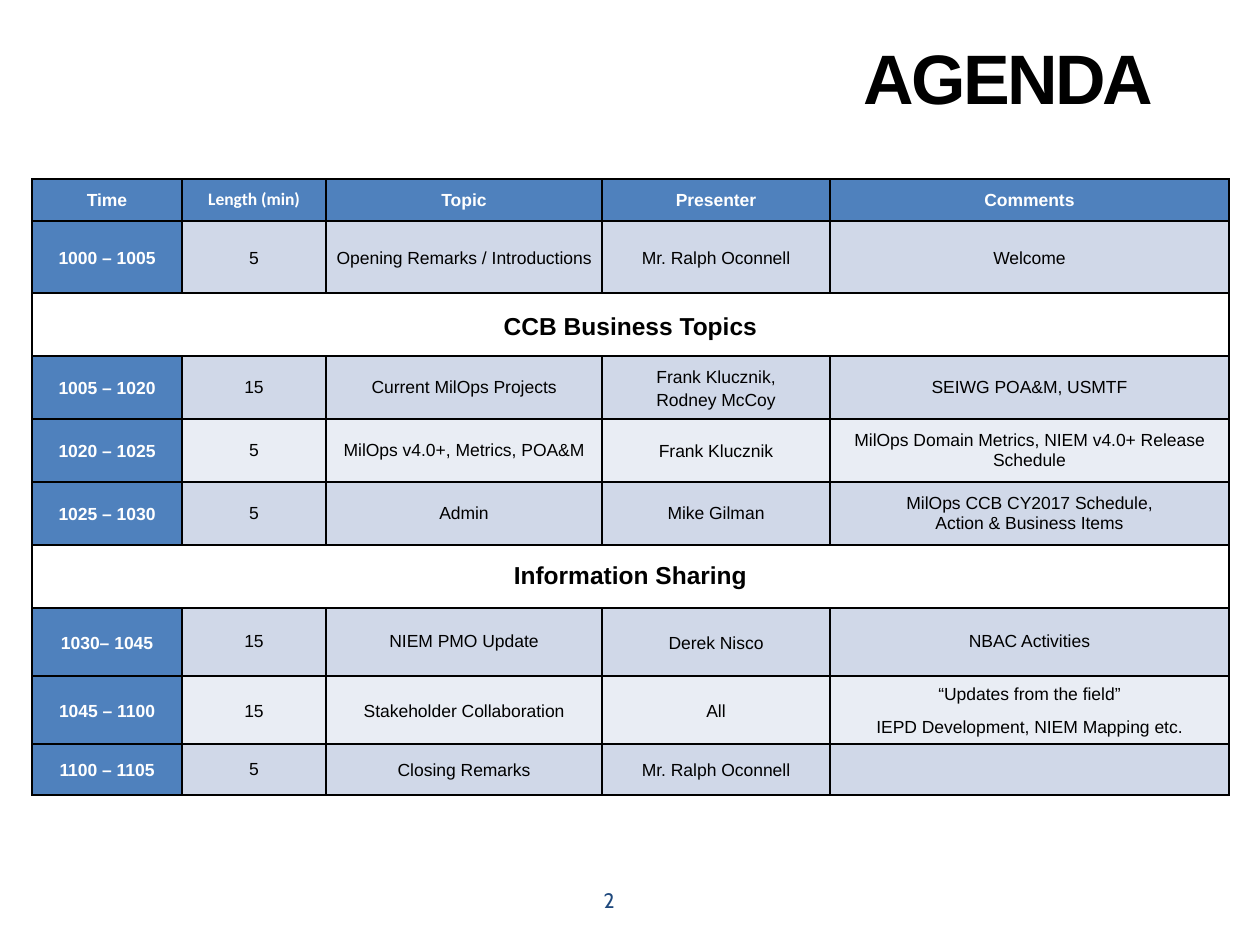
from collections import namedtuple
from dataclasses import dataclass

from pptx import Presentation
from pptx.dml.color import RGBColor
from pptx.enum.text import MSO_ANCHOR as Anchor, PP_ALIGN as Align
from pptx.oxml import parse_xml
from pptx.oxml.ns import nsdecls
from pptx.util import Emu, Pt

PX = 7257.6  # EMU per px, 126 px to the inch
Box = namedtuple("Box", "left top width height")


@dataclass(frozen=True)
class Theme:
    font: str = "Arial"
    length_font: str = "Calibri"
    number_font: str = "Cabin"
    black: str = "000000"
    white: str = "FFFFFF"
    blue: str = "4F81BD"
    dark_band: str = "D0D8E8"
    light_band: str = "E9EDF4"
    navy: str = "1F497D"
    title_size: int = 40
    section_size: int = 14
    number_size: int = 12
    cell_size: int = 10


THEME = Theme()

# Line spacing, space before and space after of each paragraph style
SPACING = {"H": (1, 6, 0), "L": (1.15, 3, 3), "T": (1, 3, 3), "P": (1, 0, 0)}

COLUMN_WIDTHS = (150, 144, 276, 228, 399)

# Row height, paragraph style of each cell, cell texts; one text makes a section row
AGENDA = (
    (42, "HHHHH", ("Time", "Length (min)", "Topic", "Presenter", "Comments")),
    (72, "LLLLL", ("1000 – 1005", "5", "Opening Remarks / Introductions",
                   "Mr. Ralph Oconnell", "Welcome")),
    (63, "L", ("CCB Business Topics",)),
    (63, "LTTLT", ("1005 – 1020", "15", "Current MilOps Projects",
                   "Frank Klucznik,\vRodney McCoy", "SEIWG POA&M, USMTF")),
    (63, "LTTLT", ("1020 – 1025", "5", "MilOps v4.0+, Metrics, POA&M", "Frank Klucznik",
                   "MilOps Domain Metrics, NIEM v4.0+ Release Schedule")),
    (63, "LTPPP", ("1025 – 1030", "5", "Admin", "Mike Gilman",
                   "MilOps CCB CY2017 Schedule,\nAction & Business Items")),
    (63, "P", ("Information Sharing",)),
    (68, "LTTLT", ("1030– 1045", "15", "NIEM PMO Update", "Derek Nisco",
                   "NBAC Activities")),
    (68, "LLLLL", ("1045 – 1100", "15", "Stakeholder Collaboration", "All",
                   "“Updates from the field”\nIEPD Development, NIEM Mapping etc.")),
    (51, "LPLLP", ("1100 – 1105", "5", "Closing Remarks", "Mr. Ralph Oconnell", "")),
)


def px(length):
    return Emu(round(length * PX))


def place(shape, box):
    shape.left, shape.top, shape.width, shape.height = map(px, box)


def style_paragraph(paragraph, size, color, bold=False, font=THEME.font, align=Align.CENTER):
    paragraph.alignment = align
    paragraph.font.name = font
    paragraph.font.size = Pt(size)
    paragraph.font.bold = bold
    paragraph.font.color.rgb = RGBColor.from_string(color)


def add_title(slide, box, text):
    title = slide.shapes.title
    place(title, box)
    frame = title.text_frame
    frame.text = text
    frame.vertical_anchor = Anchor.MIDDLE
    paragraph = frame.paragraphs[0]
    style_paragraph(paragraph, THEME.title_size, THEME.black, True, align=Align.RIGHT)
    paragraph.line_spacing = 0.8
    # Tightened letter spacing
    paragraph.runs[0]._r.get_or_add_rPr().set("spc", "-150")


def add_page_number(slide, box, number):
    text_box = slide.shapes.add_textbox(*map(px, box))
    frame = text_box.text_frame
    frame.word_wrap = True
    frame.text = str(number)
    style_paragraph(frame.paragraphs[0], THEME.number_size, THEME.navy,
                    font=THEME.number_font)


def set_borders(cell):
    properties = cell._tc.get_or_add_tcPr()
    for position, side in enumerate(("lnL", "lnR", "lnT", "lnB")):
        properties.insert(position, parse_xml(
            f'<a:{side} {nsdecls("a")} w="{Pt(1)}"><a:solidFill>'
            f'<a:srgbClr val="{THEME.black}"/></a:solidFill></a:{side}>'))


def fill_cell(cell, text, spacing, size, color, bold, font=THEME.font):
    cell.vertical_anchor = Anchor.MIDDLE
    cell.margin_left = cell.margin_right = px(9)
    cell.margin_top = cell.margin_bottom = 0
    cell.text = text
    for paragraph in cell.text_frame.paragraphs:
        style_paragraph(paragraph, size, color, bold, font)
        line, before, after = SPACING[spacing]
        paragraph.line_spacing = line
        paragraph.space_before, paragraph.space_after = Pt(before), Pt(after)


def add_agenda(slide, box):
    table = slide.shapes.add_table(len(AGENDA), len(COLUMN_WIDTHS), *map(px, box)).table
    table.first_row = table.horz_banding = False
    for column, width in zip(table.columns, COLUMN_WIDTHS):
        column.width = px(width)

    for row_index, (height, spacings, texts) in enumerate(AGENDA):
        table.rows[row_index].height = px(height)
        cells = [table.cell(row_index, index) for index in range(len(COLUMN_WIDTHS))]
        for cell in cells:
            set_borders(cell)

        # Section row across the whole table
        if len(texts) == 1:
            cells[0].merge(cells[-1])
            for cell in cells:
                cell.fill.background()
            fill_cell(cells[0], texts[0], spacings, THEME.section_size, THEME.black, True)
            continue

        # Header row, or a time slot with a heading in its first column
        band = THEME.light_band if row_index in (4, 8) else THEME.dark_band
        for index, (cell, text, spacing) in enumerate(zip(cells, texts, spacings)):
            heading = row_index == 0 or index == 0
            cell.fill.solid()
            cell.fill.fore_color.rgb = RGBColor.from_string(THEME.blue if heading else band)
            font = THEME.length_font if (row_index, index) == (0, 1) else THEME.font
            fill_cell(cell, text, spacing, THEME.cell_size,
                      THEME.white if heading else THEME.black, heading, font)


def main():
    presentation = Presentation()
    presentation.slide_width, presentation.slide_height = px(1260), px(945)
    slide = presentation.slides.add_slide(presentation.slide_layouts[5])
    add_title(slide, Box(42, 32, 1124, 105), "AGENDA")
    add_page_number(slide, Box(462, 881, 294, 50), 2)
    add_agenda(slide, Box(32, 179, sum(COLUMN_WIDTHS), sum(row[0] for row in AGENDA)))
    presentation.save("out.pptx")


if __name__ == "__main__":
    main()
